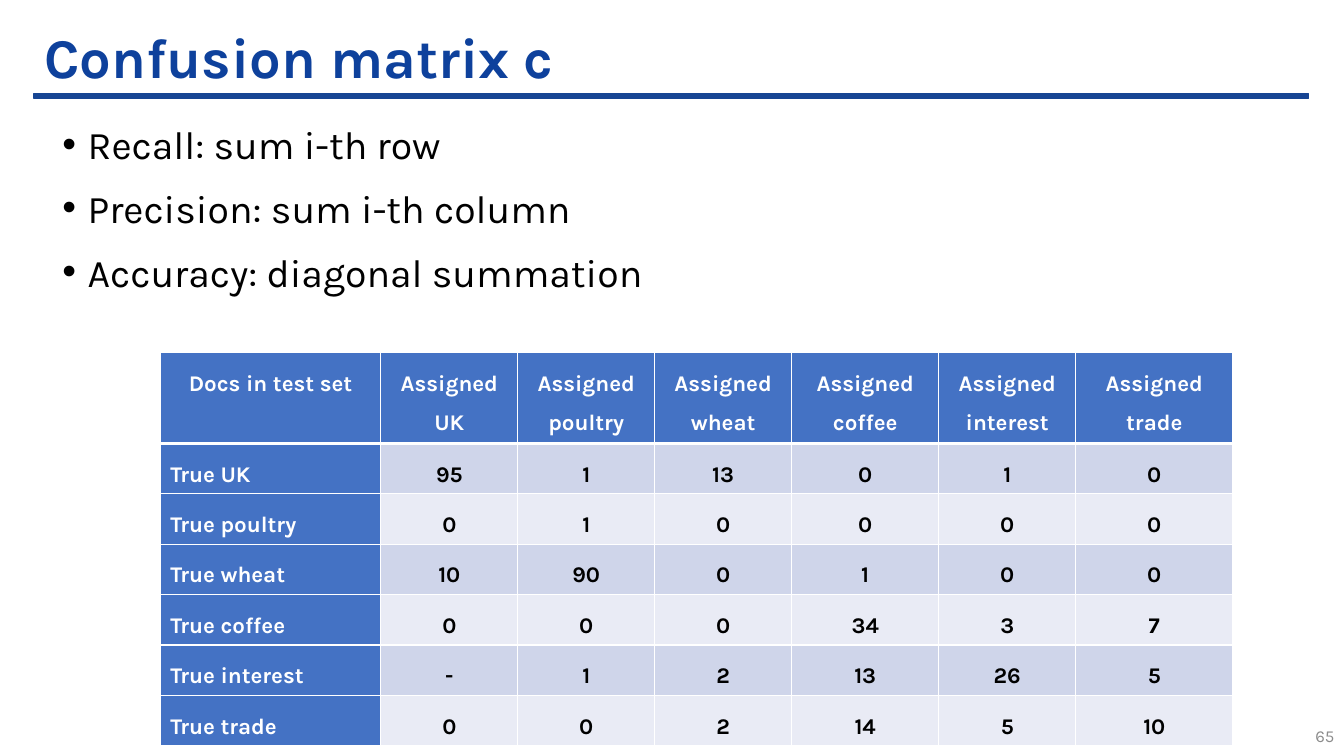
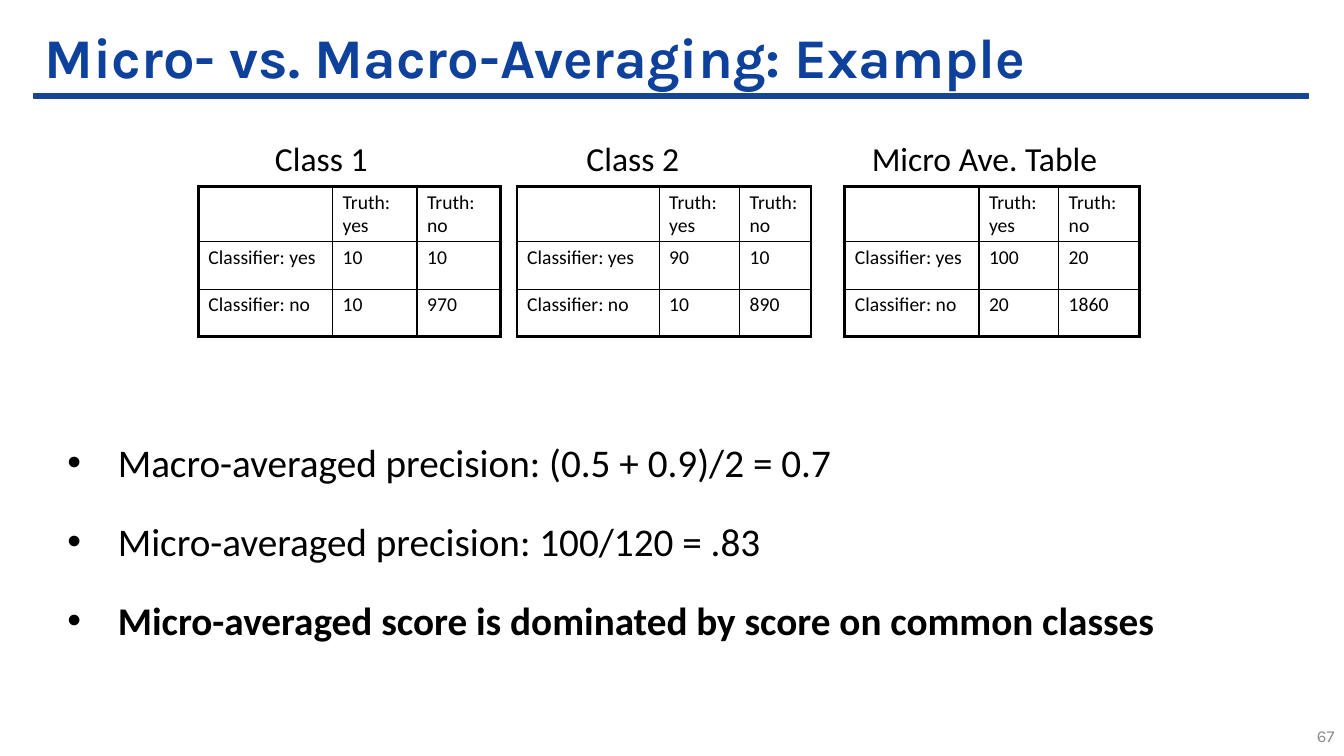
from dataclasses import dataclass

from lxml import etree
from pptx import Presentation
from pptx.dml.color import RGBColor
from pptx.enum.shapes import MSO_SHAPE
from pptx.enum.text import MSO_ANCHOR, MSO_AUTO_SIZE, PP_ALIGN
from pptx.oxml.ns import qn
from pptx.slide import Slide
from pptx.table import Table, _Cell
from pptx.text.text import TextFrame, _Paragraph
from pptx.util import Cm, Pt

RECTANGLE = MSO_SHAPE.RECTANGLE
LEFT, CENTER, RIGHT = PP_ALIGN.LEFT, PP_ALIGN.CENTER, PP_ALIGN.RIGHT
MIDDLE = MSO_ANCHOR.MIDDLE
NO_AUTOFIT = MSO_AUTO_SIZE.NONE

BLACK = RGBColor(0x00, 0x00, 0x00)
WHITE = RGBColor(0xFF, 0xFF, 0xFF)
GRAY = RGBColor(0x8C, 0x8C, 0x8C)
TITLE_BLUE = RGBColor(0x0E, 0x41, 0x9C)
RULE_BLUE = RGBColor(0x17, 0x45, 0x93)
HEADER_BLUE = RGBColor(0x44, 0x72, 0xC4)
BANDS = (RGBColor(0xCF, 0xD5, 0xEA), RGBColor(0xE9, 0xEB, 0xF5))

KARLA, CALIBRI = "Karla", "Calibri"
MARGIN, CONTENT_WIDTH = Cm(0.86), Cm(32.11)
BULLET_WIDTH = Cm(30.73)


@dataclass(frozen=True)
class TextStyle:
    font: str
    size: float
    color: RGBColor = BLACK
    bold: bool = False


@dataclass(frozen=True)
class Box:
    """A rectangle in centimetres."""
    left: float
    top: float
    width: float
    height: float


@dataclass(frozen=True)
class BulletStyle:
    font: str
    indent: float
    space_before: float
    space_after: float


@dataclass(frozen=True)
class Bullet:
    text: str
    bold: bool = False


@dataclass(frozen=True)
class ClassTable:
    """A labelled two-by-two table of classifier answers against the truth."""
    label: str
    label_left: float
    label_width: float
    left: float
    columns: tuple[float, ...]
    counts: tuple[tuple[int, int], tuple[int, int]]


TITLE_STYLE = TextStyle(KARLA, 40, TITLE_BLUE, True)
NUMBER_STYLE = TextStyle(KARLA, 12, GRAY)
HEADER_STYLE = TextStyle(KARLA, 16, WHITE, True)
VALUE_STYLE = TextStyle(KARLA, 16, BLACK, True)
LABEL_STYLE = TextStyle(CALIBRI, 24)
COUNT_STYLE = TextStyle(CALIBRI, 14)

METRIC_BULLETS = BulletStyle(KARLA, 0.64, 6, 6)
AVERAGE_BULLETS = BulletStyle(CALIBRI, 1.27, 5, 18)

METRICS = (
    Bullet("Recall: sum i-th row"),
    Bullet("Precision: sum i-th column"),
    Bullet("Accuracy: diagonal summation"),
)
AVERAGES = (
    Bullet("Macro-averaged precision: (0.5 + 0.9)/2 = 0.7"),
    Bullet("Micro-averaged precision: 100/120 = .83"),
    Bullet("Micro-averaged score is dominated by score on common classes", True),
)

MATRIX_COLUMNS = (5.56, 3.45, 3.45, 3.45, 3.71, 3.45, 3.96)
MATRIX_ROWS = (1.93,) + (1.17,) * 6
MATRIX = (
    ("Docs in test set", "Assigned\nUK", "Assigned poultry", "Assigned wheat",
     "Assigned coffee", "Assigned interest", "Assigned trade"),
    ("True UK", "95", "1", "13", "0", "1", "0"),
    ("True poultry", "0", "1", "0", "0", "0", "0"),
    ("True wheat", "10", "90", "0", "1", "0", "0"),
    ("True coffee", "0", "0", "0", "34", "3", "7"),
    ("True interest", "-", "1", "2", "13", "26", "5"),
    ("True trade", "0", "0", "2", "14", "5", "10"),
)

CLASS_ROWS = (1.2,) * 3
CLASS_BORDERS = (2.25, 1, 1, 2.25)
CLASS_TABLES = (
    ClassTable("Class 1", 6.68, 5.08, 5.0, (3.38, 2.13, 2.11), ((10, 10), (10, 970))),
    ClassTable("Class 2", 14.53, 5.08, 13.03, (3.58, 2.03, 1.8), ((90, 10), (10, 890))),
    ClassTable("Micro Ave. Table", 21.72, 7.42, 21.29, (3.38, 2.01, 2.03),
               ((100, 20), (20, 1860))),
)


def add_run(paragraph: _Paragraph, text: str, style: TextStyle) -> None:
    run = paragraph.add_run()
    run.text = text
    run.font.name = style.font
    run.font.size = Pt(style.size)
    run.font.bold = style.bold
    run.font.color.rgb = style.color


def add_text_box(slide: Slide, box: Box) -> TextFrame:
    shape = slide.shapes.add_textbox(
        Cm(box.left), Cm(box.top), Cm(box.width), Cm(box.height))
    shape.text_frame.word_wrap = True
    return shape.text_frame


def add_titled_slide(presentation: Presentation, title: str, number: int) -> Slide:
    slide = presentation.slides.add_slide(presentation.slide_layouts[5])
    rule = slide.shapes.add_shape(RECTANGLE, MARGIN, Cm(2.36), CONTENT_WIDTH, Cm(0.13))
    rule.shadow.inherit = False
    rule.fill.solid()
    rule.fill.fore_color.rgb = RULE_BLUE
    rule.line.color.rgb = RULE_BLUE
    rule.line.width = Pt(1)

    heading = slide.shapes.title
    heading.left, heading.top = MARGIN, Cm(0.66)
    heading.width, heading.height = CONTENT_WIDTH, Cm(1.7)
    frame = heading.text_frame
    frame.auto_size = NO_AUTOFIT
    frame.vertical_anchor = MIDDLE
    paragraph = frame.paragraphs[0]
    paragraph.alignment = LEFT
    paragraph.line_spacing = 0.9
    add_run(paragraph, title, TITLE_STYLE)

    frame = add_text_box(slide, Box(32.18, 18.03, 1.7, 1.02))
    frame.vertical_anchor = MIDDLE
    frame.paragraphs[0].alignment = RIGHT
    add_run(frame.paragraphs[0], str(number), NUMBER_STYLE)
    return slide


def add_bullets(slide: Slide, box: Box, bullets: tuple[Bullet, ...],
                style: BulletStyle) -> None:
    frame = add_text_box(slide, box)
    for index, bullet in enumerate(bullets):
        paragraph = frame.add_paragraph() if index else frame.paragraphs[0]
        properties = paragraph._p.get_or_add_pPr()
        properties.set("marL", str(Cm(style.indent)))
        properties.set("indent", str(-Cm(style.indent)))
        etree.SubElement(properties, qn("a:buFont"), typeface="Arial")
        etree.SubElement(properties, qn("a:buChar"), char="•")
        if index:
            paragraph.space_before = Pt(style.space_before)
        paragraph.space_after = Pt(style.space_after)
        add_run(paragraph, bullet.text, TextStyle(style.font, 28, bold=bullet.bold))


def add_plain_table(slide: Slide, left: float, top: float,
                    columns: tuple[float, ...], rows: tuple[float, ...]) -> Table:
    table = slide.shapes.add_table(
        len(rows), len(columns), Cm(left), Cm(top),
        Cm(sum(columns)), Cm(sum(rows))).table
    table.first_row = False
    table.horz_banding = False
    for column, width in zip(table.columns, columns):
        column.width = Cm(width)
    for row, height in zip(table.rows, rows):
        row.height = Cm(height)
    return table


def set_borders(cell: _Cell, color: RGBColor, left: float, right: float,
                top: float, bottom: float) -> None:
    """Draw the four edges, with widths in points; call before setting the fill."""
    properties = cell._tc.get_or_add_tcPr()
    for side, width in zip("LRTB", (left, right, top, bottom)):
        line = etree.SubElement(properties, qn(f"a:ln{side}"), w=str(Pt(width)))
        fill = etree.SubElement(line, qn("a:solidFill"))
        etree.SubElement(fill, qn("a:srgbClr"), val=str(color))


def add_confusion_matrix(slide: Slide) -> None:
    table = add_plain_table(slide, 4.04, 8.89, MATRIX_COLUMNS, MATRIX_ROWS)
    for row, texts in enumerate(MATRIX):
        for column, text in enumerate(texts):
            cell = table.cell(row, column)
            is_header = row == 0 or column == 0
            set_borders(cell, WHITE, 1, 1, 3 if row == 1 else 1, 3 if row == 0 else 1)
            cell.fill.solid()
            cell.fill.fore_color.rgb = HEADER_BLUE if is_header else BANDS[(row - 1) % 2]
            frame = cell.text_frame
            for index, line in enumerate(text.split("\n")):
                paragraph = frame.add_paragraph() if index else frame.paragraphs[0]
                paragraph.alignment = LEFT if row and column == 0 else CENTER
                paragraph.line_spacing = 1.5
                add_run(paragraph, line, HEADER_STYLE if is_header else VALUE_STYLE)


def add_class_table(slide: Slide, item: ClassTable) -> None:
    table = add_plain_table(slide, item.left, 4.7, item.columns, CLASS_ROWS)
    yes_counts, no_counts = item.counts
    texts = (
        ("", "Truth: yes", "Truth: no"),
        ("Classifier: yes", *yes_counts),
        ("Classifier: no", *no_counts),
    )
    for row, values in enumerate(texts):
        for column, value in enumerate(values):
            cell = table.cell(row, column)
            set_borders(cell, BLACK, *CLASS_BORDERS[column:column + 2],
                        *CLASS_BORDERS[row:row + 2])
            cell.fill.background()
            cell.margin_top = cell.margin_bottom = Cm(0.1)
            if value != "":
                add_run(cell.text_frame.paragraphs[0], str(value), COUNT_STYLE)

    frame = add_text_box(slide, Box(item.label_left, 3.35, item.label_width, 1.27))
    add_run(frame.paragraphs[0], item.label, LABEL_STYLE)


def main() -> None:
    presentation = Presentation()
    presentation.slide_width = Cm(33.87)
    presentation.slide_height = Cm(19.05)

    slide = add_titled_slide(presentation, "Confusion matrix c", 65)
    add_bullets(slide, Box(1.32, 2.9, BULLET_WIDTH.cm, 15.29), METRICS, METRIC_BULLETS)
    add_confusion_matrix(slide)

    slide = add_titled_slide(presentation, "Micro- vs. Macro-Averaging: Example", 67)
    add_bullets(slide, Box(1.45, 10.92, BULLET_WIDTH.cm, 6.15), AVERAGES, AVERAGE_BULLETS)
    for item in CLASS_TABLES:
        add_class_table(slide, item)

    presentation.save("out.pptx")


if __name__ == "__main__":
    main()
